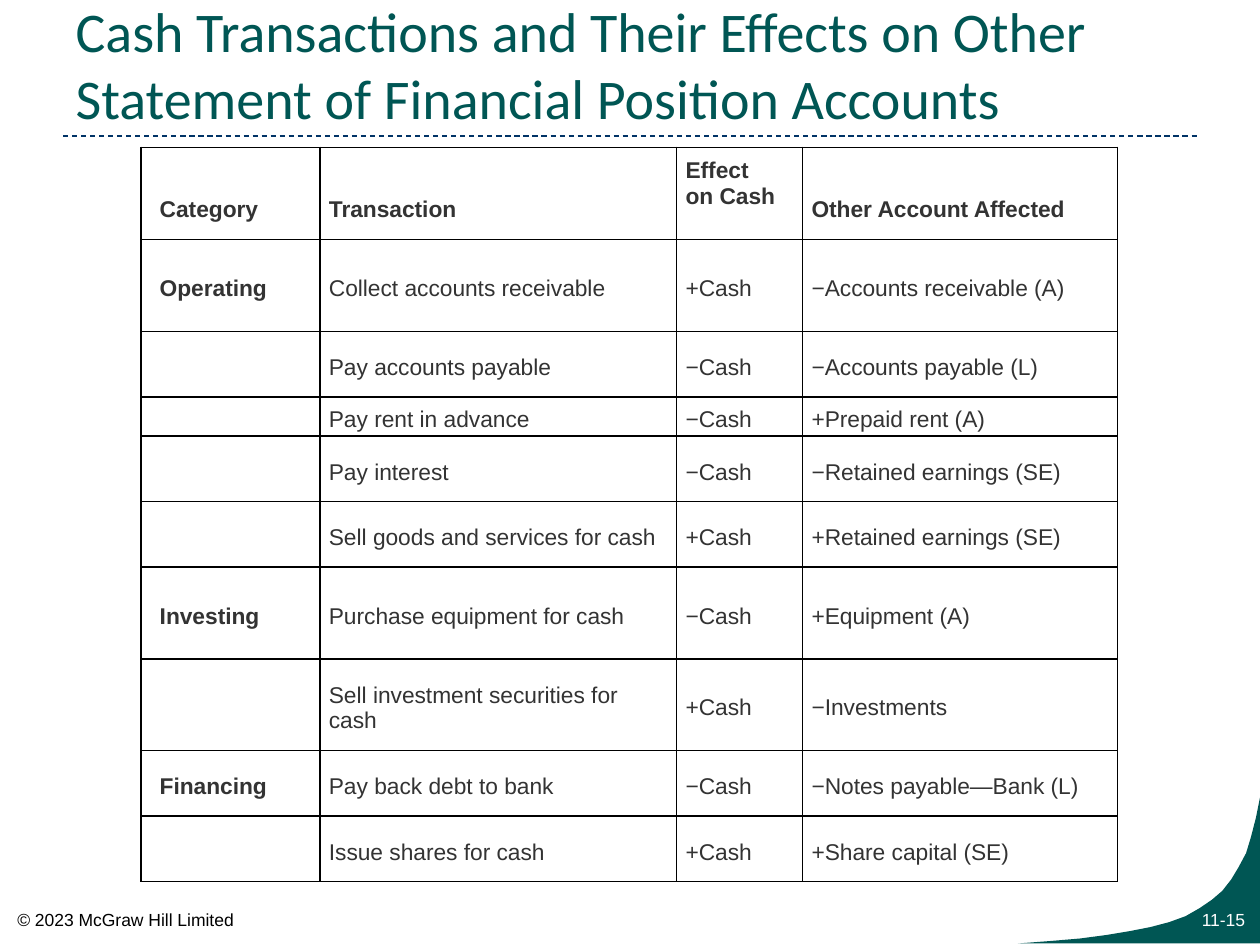
from lxml import etree
from pptx import Presentation
from pptx.dml.color import RGBColor
from pptx.enum.dml import MSO_LINE
from pptx.enum.shapes import MSO_CONNECTOR
from pptx.enum.text import MSO_ANCHOR, MSO_AUTO_SIZE, PP_ALIGN
from pptx.oxml.ns import qn
from pptx.util import Cm, Pt

DASH = MSO_LINE.DASH
STRAIGHT = MSO_CONNECTOR.STRAIGHT
MIDDLE, BOTTOM = MSO_ANCHOR.MIDDLE, MSO_ANCHOR.BOTTOM
NO_FIT = MSO_AUTO_SIZE.NONE
LEFT, RIGHT = PP_ALIGN.LEFT, PP_ALIGN.RIGHT

COLORS = {
    "teal": "005654", "navy": "003366", "text": "333333",
    "black": "000000", "white": "FFFFFF",
}

COL_WIDTHS = [3.61, 7.19, 2.54, 6.35]
TALL, MID, LOW = 1.85, 1.32, 0.79
ROW_HEIGHTS = [TALL, TALL, MID, LOW, MID, MID, TALL, TALL, MID, MID]
ROWS = [
    ("Category", "Transaction", "Effect\von Cash", "Other Account Affected"),
    ("Operating", "Collect accounts receivable", "+Cash", "−Accounts receivable (A)"),
    ("", "Pay accounts payable", "−Cash", "−Accounts payable (L)"),
    ("", "Pay rent in advance", "−Cash", "+Prepaid rent (A)"),
    ("", "Pay interest", "−Cash", "−Retained earnings (SE)"),
    ("", "Sell goods and services for cash", "+Cash", "+Retained earnings (SE)"),
    ("Investing", "Purchase equipment for cash", "−Cash", "+Equipment (A)"),
    ("", "Sell investment securities for cash", "+Cash", "−Investments"),
    ("Financing", "Pay back debt to bank", "−Cash", "−Notes payable—Bank (L)"),
    ("", "Issue shares for cash", "+Cash", "+Share capital (SE)"),
]
# Cell margins in cm; an extra line's height shifts the header texts
EDGE, SIDE, TOP, FOOT, LINE = 0.38, 0.18, 0.18, 0.05, 0.53

# Corner swoosh outline in cm
SWOOSH = [
    (25.4, 16.08), (25.4, 19.02), (20.52, 19.02), (21.18, 18.97),
    (21.77, 18.92), (22.3, 18.85), (22.78, 18.77), (23.19, 18.69),
    (23.57, 18.59), (23.9, 18.47), (24.18, 18.31), (24.43, 18.14),
    (24.64, 17.96), (24.82, 17.73), (24.97, 17.48), (25.12, 17.2),
    (25.22, 16.87), (25.32, 16.48),
]


def rgb(name):
    return RGBColor.from_string(COLORS[name])


def format_text(p, text, color, **font):
    p.text = text
    for r in p.runs:
        r.font.color.rgb = rgb(color)
        for name, value in font.items():
            setattr(r.font, name, value)


def add_text(s, box, text, color, align, wrap):
    tf = s.shapes.add_textbox(*map(Cm, box)).text_frame
    tf.word_wrap = wrap
    p = tf.paragraphs[0]
    p.alignment = align
    format_text(p, text, color, size=Pt(10), name="Arial")


def add_rule(s):
    line = s.shapes.add_connector(STRAIGHT, Cm(1.27), Cm(2.74), Cm(24.13), Cm(2.74))
    line.line.color.rgb = rgb("navy")
    line.line.width = Pt(0.75)
    line.line.dash_style = DASH
    etree.SubElement(line._element.spPr, qn("a:effectLst"))


def add_swoosh(s):
    points = [(Cm(x), Cm(y)) for x, y in SWOOSH]
    builder = s.shapes.build_freeform(*points[0])
    builder.add_line_segments(points[1:], close=True)
    sp = builder.convert_to_shape()
    sp.shadow.inherit = False
    sp.fill.solid()
    sp.fill.fore_color.rgb = rgb("teal")
    sp.line.fill.background()


def set_title(s, text):
    sp = s.shapes.title
    box = {"left": 1.27, "top": 0.56, "width": 22.86, "height": 2.21}
    for name, value in box.items():
        setattr(sp, name, Cm(value))
    tf = sp.text_frame
    for name, value in {"vertical_anchor": BOTTOM, "auto_size": NO_FIT,
                        "word_wrap": True}.items():
        setattr(tf, name, value)
    p = tf.paragraphs[0]
    p.alignment = LEFT
    format_text(p, text, "teal", size=Pt(32), name="Calibri")


def add_borders(cell):
    tcPr = cell._tc.get_or_add_tcPr()
    for side in ("lnL", "lnR", "lnT", "lnB"):
        ln = etree.SubElement(tcPr, qn(f"a:{side}"), w=str(Pt(1)))
        fill = etree.SubElement(ln, qn("a:solidFill"))
        etree.SubElement(fill, qn("a:srgbClr"), val=COLORS["black"])


def cell_margins(row, col, text):
    margins = {
        "margin_left": EDGE if col == 0 else SIDE,
        "margin_right": EDGE if col == 3 or "securities" in text else SIDE,
        "margin_top": TOP,
        "margin_bottom": FOOT,
    }
    if row == 0:
        margins["margin_bottom" if "\v" in text else "margin_top"] += LINE
    return margins


def fill_cell(cell, row, col, text):
    add_borders(cell)
    cell.fill.solid()
    cell.fill.fore_color.rgb = rgb("white")
    cell.vertical_anchor = MIDDLE
    for name, value in cell_margins(row, col, text).items():
        setattr(cell, name, Cm(value))
    p = cell.text_frame.paragraphs[0]
    if text:
        format_text(p, text, "text", size=Pt(13), name="Arial",
                    bold=row == 0 or col == 0)
    else:
        # Keeps the empty cells from stretching the low row
        etree.SubElement(p._p, qn("a:endParaRPr"), sz="1300")


def add_transactions(s):
    frame = s.shapes.add_table(len(ROWS), len(COL_WIDTHS), Cm(2.84), Cm(2.97),
                               Cm(sum(COL_WIDTHS)), Cm(sum(ROW_HEIGHTS)))
    table = frame.table
    table.first_row = table.horz_banding = False
    for column, width in zip(table.columns, COL_WIDTHS):
        column.width = Cm(width)
    for row, height in zip(table.rows, ROW_HEIGHTS):
        row.height = Cm(height)
    for i, texts in enumerate(ROWS):
        for j, text in enumerate(texts):
            fill_cell(table.cell(i, j), i, j, text)


def main():
    prs = Presentation()
    prs.slide_width, prs.slide_height = Cm(25.4), Cm(19.05)
    s = prs.slides.add_slide(prs.slide_layouts[5])

    # Frame: rule, corner, page number, copyright
    add_rule(s)
    add_swoosh(s)
    add_text(s, (22.86, 18.19, 2.49, 0.69), "11-15", "white", RIGHT, True)
    add_text(s, (0.1, 18.21, 4.93, 0.69), "© 2023 McGraw Hill Limited",
             "black", LEFT, False)

    # Content
    set_title(s, "Cash Transactions and Their Effects on Other "
                 "Statement of Financial Position Accounts")
    add_transactions(s)
    prs.save("out.pptx")


if __name__ == "__main__":
    main()
